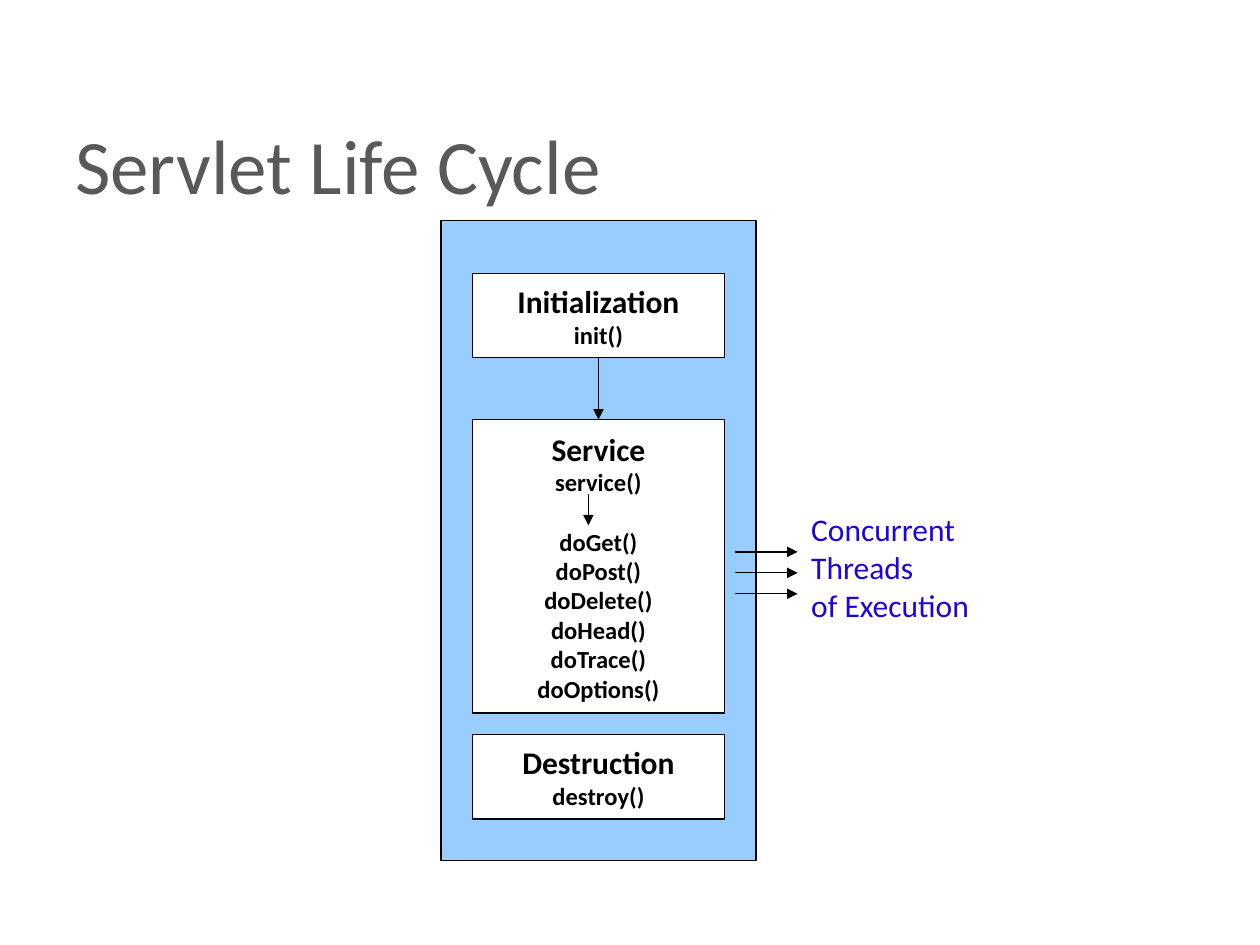
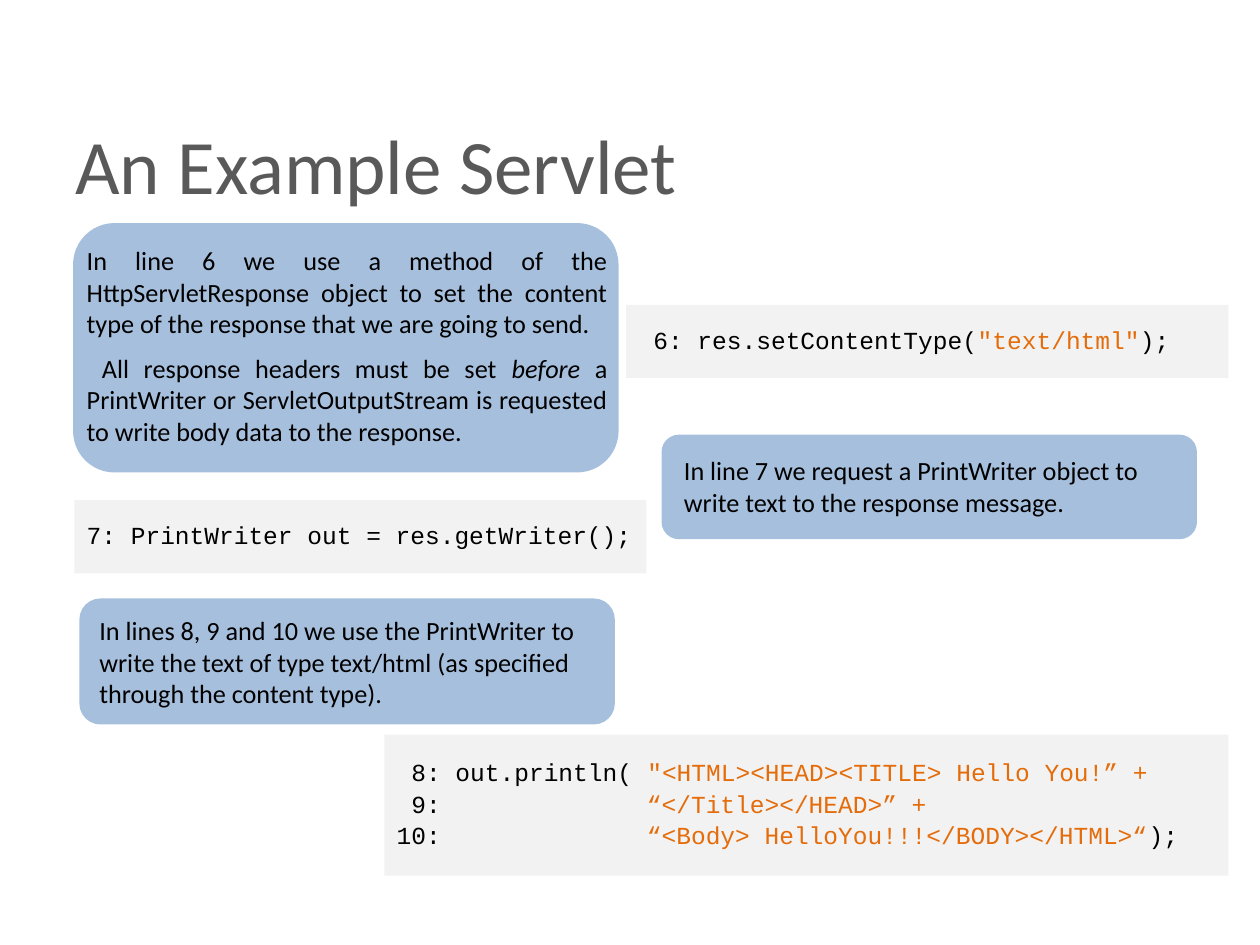
from lxml import etree
from pptx import Presentation
from pptx.dml.color import RGBColor
from pptx.enum.shapes import MSO_CONNECTOR as Connector, MSO_SHAPE as Shape
from pptx.enum.text import MSO_ANCHOR as Anchor, PP_ALIGN as Align
from pptx.oxml.ns import qn
from pptx.util import Inches, Pt

BODY_FONT, CODE_FONT = "Calibri", "Courier New"
BLACK, WHITE = "000000", "FFFFFF"
TITLE_GREY, THREAD_BLUE = "595959", "1D04DA"
CYCLE_BLUE, NOTE_BLUE = "99CCFF", "4F81BD"
CODE_GREY, STRING_ORANGE = "F2F2F2", "E46C0A"


def colour(value):
    return RGBColor.from_string(value)


def inches(*lengths):
    return [Inches(length) for length in lengths]


def style(font, size, value=BLACK, name=BODY_FONT, bold=False):
    font.size, font.name, font.bold = Pt(size), name, bold
    font.color.rgb = colour(value)


def add_block(shapes, kind, at, fill, line=None):
    block = shapes.add_shape(kind, *inches(*at))
    block.shadow.inherit = False
    block.fill.solid()
    block.fill.fore_color.rgb = colour(fill)
    if line:
        block.line.color.rgb = colour(line)
        block.line.width = Pt(0.75)
    else:
        block.line.fill.background()
    return block


def add_text(shapes, at, wrap=True):
    frame = shapes.add_textbox(*inches(*at)).text_frame
    frame.word_wrap = wrap
    return frame


def next_para(frame, index):
    return frame.add_paragraph() if index else frame.paragraphs[0]


def add_arrow(shapes, start, end):
    arrow = shapes.add_connector(Connector.STRAIGHT, *inches(*start, *end))
    arrow.line.color.rgb = colour(BLACK)
    arrow.line.width = Pt(0.75)
    etree.SubElement(arrow.line._get_or_add_ln(), qn("a:tailEnd"), type="triangle")
    etree.SubElement(arrow._element.spPr, qn("a:effectLst"))
    return arrow


def add_page(deck, title):
    page = deck.slides.add_slide(deck.slide_layouts[6])
    frame = add_text(page.shapes, (0.5, 0.67, 9, 1.25))
    frame.vertical_anchor = Anchor.MIDDLE
    frame.text = title
    style(frame.paragraphs[0].font, 44, TITLE_GREY)
    return page


def add_stage(shapes, at, name, *methods):
    """One phase of the life cycle: its name, its entry method, then any handlers."""
    box = add_block(shapes, Shape.RECTANGLE, at, WHITE, BLACK)
    frame = box.text_frame
    frame.word_wrap = False
    frame.vertical_anchor = Anchor.MIDDLE
    for index, text in enumerate((name, *methods)):
        para = next_para(frame, index)
        para.text = text
        para.alignment = Align.CENTER
        style(para.font, 14 if index else 18, bold=True)
        if index == 2:
            para.space_before = Pt(17)
    return box


def add_threads(shapes, left, top):
    group = shapes.add_group_shape()
    for row in range(3):
        y = top + row / 6
        add_arrow(group.shapes, (left, y), (left + 0.5, y))
    frame = add_text(shapes, (left + 0.51, top - 0.38, 1.47, 1.01), wrap=False)
    frame.text = "Concurrent\nThreads\nof Execution"
    for para in frame.paragraphs:
        style(para.font, 18, THREAD_BLUE)


def add_life_cycle(page, left, top):
    shapes = page.shapes
    add_block(shapes, Shape.RECTANGLE, (left, top, 2.5, 5.08), CYCLE_BLUE, BLACK)
    stage_left, middle = left + 0.25, left + 1.25
    init = add_stage(shapes, (stage_left, top + 0.42, 2, 0.67),
                     "Initialization", "init()")
    service = add_stage(shapes, (stage_left, top + 1.58, 2, 2.33),
                        "Service", "service()", "doGet()", "doPost()", "doDelete()",
                        "doHead()", "doTrace()", "doOptions()")
    add_stage(shapes, (stage_left, top + 4.08, 2, 0.67), "Destruction", "destroy()")
    add_threads(shapes, left + 2.33, top + 2.63)
    link = add_arrow(shapes, (middle, top + 1.08), (middle, top + 1.58))
    link.begin_connect(init, 2)
    link.end_connect(service, 0)
    add_arrow(shapes, (middle - 0.08, top + 2.17), (middle - 0.08, top + 2.42))


def add_note(page, at, text_at, paragraphs, align=Align.LEFT):
    """A rounded panel with text; each paragraph is a list of (words, italic)."""
    shapes = page.shapes.add_group_shape().shapes
    panel = add_block(shapes, Shape.FLOWCHART_ALTERNATE_PROCESS, at, NOTE_BLUE)
    fill = panel._element.spPr.find(qn("a:solidFill"))
    etree.SubElement(fill[0], qn("a:alpha"), val="50000")
    frame = add_text(shapes, text_at)
    for index, spans in enumerate(paragraphs):
        para = next_para(frame, index)
        para.alignment = align
        if index:
            para.space_before = Pt(7.5)
            para._p.get_or_add_pPr().set("indent", str(Inches(0.12)))
        for words, italic in spans:
            span = para.add_run()
            span.text = words
            style(span.font, 15)
            span.font.italic = italic


def add_code(page, at, lines):
    """A grey panel of code; each line is a list of (code, colour)."""
    frame = add_block(page.shapes, Shape.RECTANGLE, at, CODE_GREY).text_frame
    frame.word_wrap = True
    frame.vertical_anchor = Anchor.MIDDLE
    for index, spans in enumerate(lines):
        para = next_para(frame, index)
        para.alignment = Align.LEFT
        para.line_spacing = 0.9
        if index:
            para.space_before = Pt(3)
        for code, value in spans:
            span = para.add_run()
            span.text = code
            style(span.font, 14, value, CODE_FONT)


def add_example(page):
    add_note(page, (5.25, 3.45, 4.25, 0.83), (5.33, 3.56, 4, 0.61), [
        [("In line 7 we request a PrintWriter object to write text to the "
          "response message.", False)]])
    add_note(page, (0.58, 1.77, 4.33, 1.98), (0.59, 1.89, 4.33, 1.74), [
        [("In line 6 we use a method of the HttpServletResponse object to set the "
          "content type of the response that we are going to send.", False)],
        [("All response headers must be set ", False), ("before", True),
         (" a PrintWriter or ServletOutputStream is requested to write body data "
          "to the response.", False)]], Align.JUSTIFY)
    add_note(page, (0.63, 4.75, 4.25, 1), (0.69, 4.83, 4.19, 0.86), [
        [("In lines 8, 9 and 10 we use the PrintWriter to write the text of type "
          "text/html (as specified through the content type).", False)]])
    add_code(page, (4.97, 2.42, 4.78, 0.58), [
        [(" 6: res.setContentType(", BLACK), ('"text/html"', STRING_ORANGE),
         (");", BLACK)]])
    add_code(page, (0.59, 3.97, 4.54, 0.58), [
        [("7: PrintWriter out = res.getWriter();", BLACK)]])
    add_code(page, (3.05, 5.83, 6.7, 1.12), [
        [(" 8: out.println( ", BLACK),
         ('"<HTML><HEAD><TITLE> Hello You!” +', STRING_ORANGE)],
        [(" 9:", BLACK), ("              “</Title></HEAD>” +", STRING_ORANGE)],
        [("10:", BLACK),
         ("              “<Body> HelloYou!!!</BODY></HTML>“", STRING_ORANGE),
         (");", BLACK)]])


def main():
    deck = Presentation()
    deck.slide_width, deck.slide_height = inches(10, 7.5)
    add_life_cycle(add_page(deck, "Servlet Life Cycle"), 3.5, 1.75)
    add_example(add_page(deck, "An Example Servlet"))
    deck.save("out.pptx")


if __name__ == "__main__":
    main()
